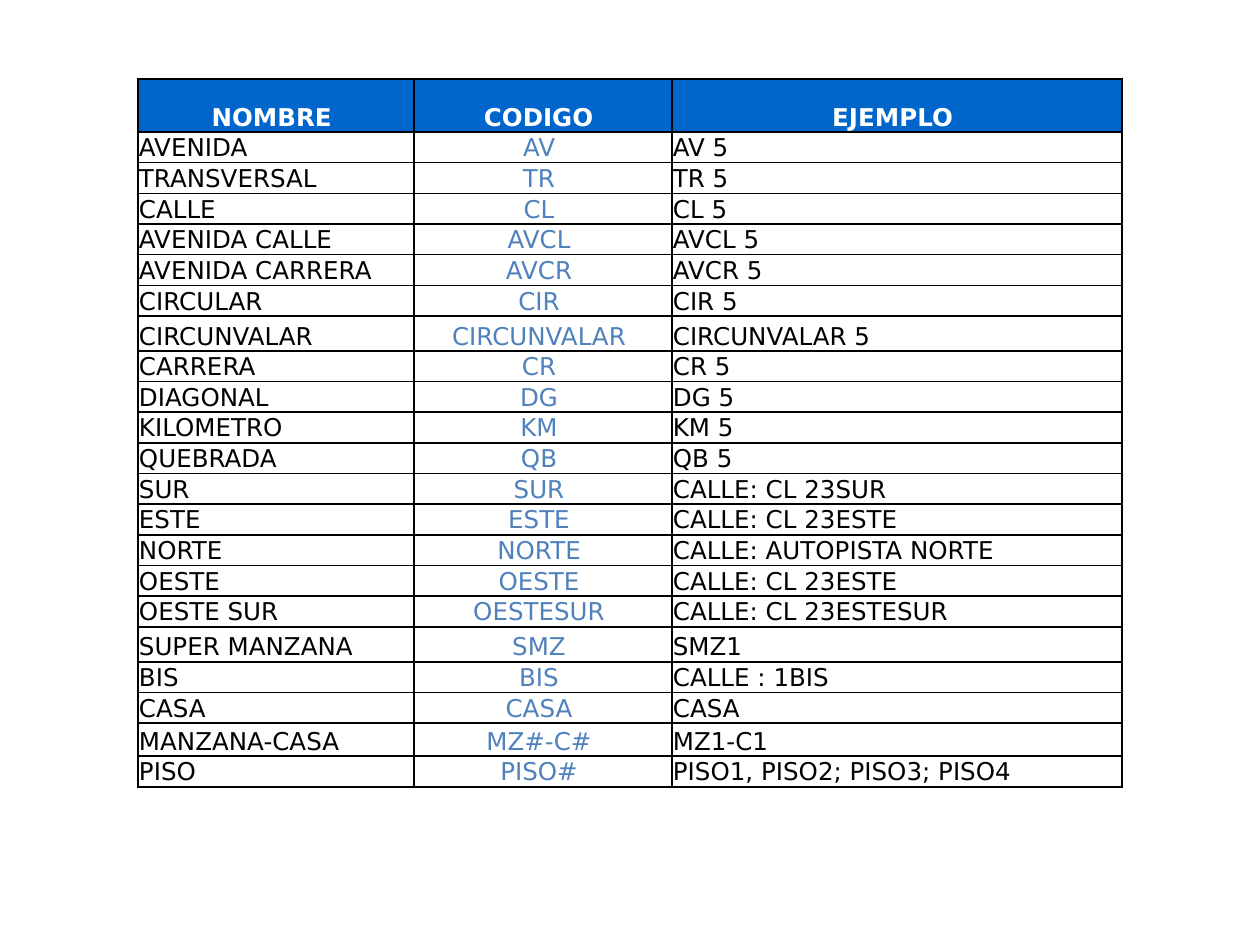
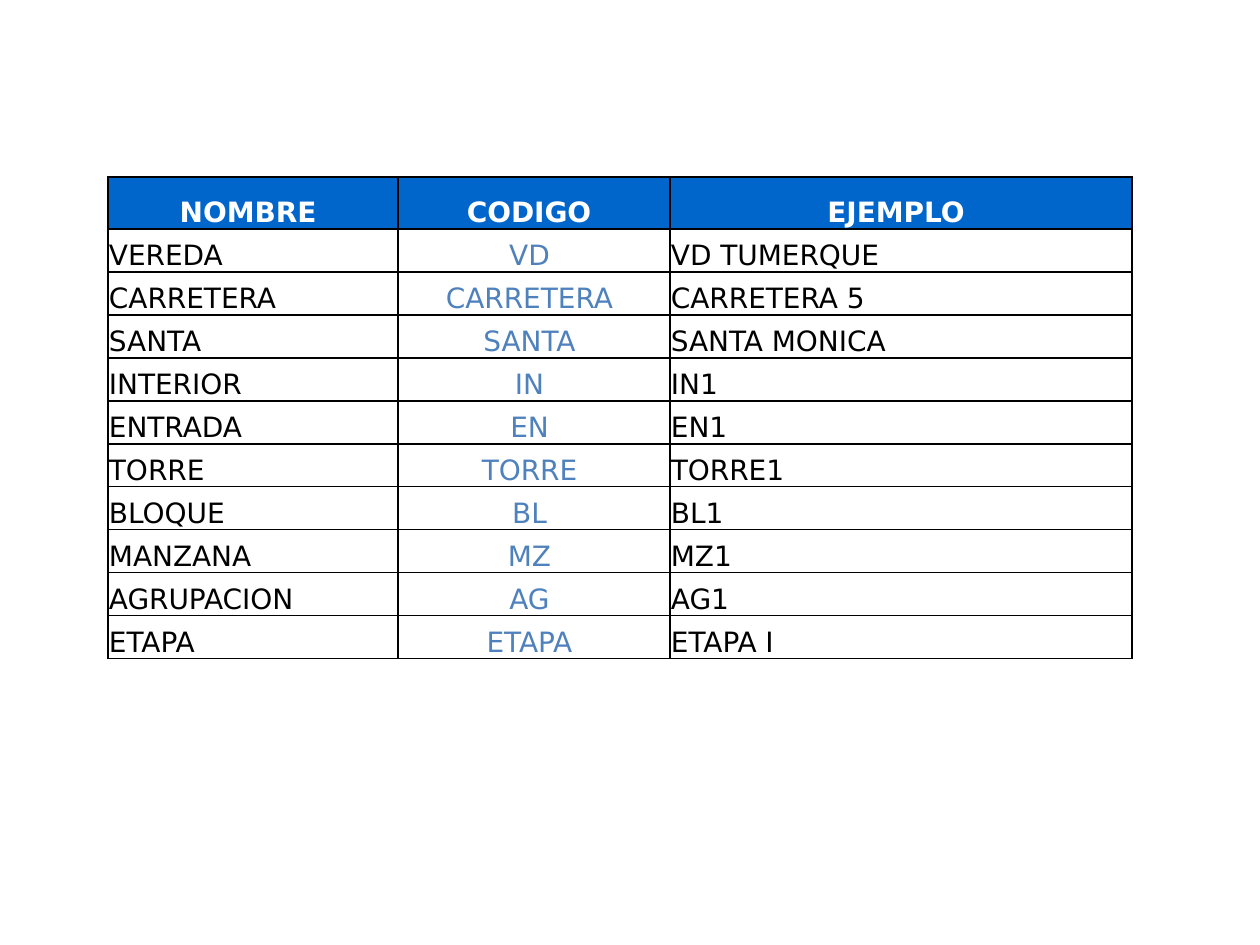
from lxml.etree import SubElement
from pptx import Presentation
from pptx.dml.color import RGBColor
from pptx.enum.text import MSO_ANCHOR as ANCHOR, PP_ALIGN as ALIGN
from pptx.oxml.ns import qn
from pptx.util import Emu, Pt

PX = 914400 // 126
COLORS = {"header": "0066CC", "header_text": "FFFFFF", "text": "000000",
          "code": "4F81BD", "border": "000000"}
FONT = "DejaVu Sans"
HEADINGS = ("NOMBRE", "CODIGO", "EJEMPLO")
CODE_COL = HEADINGS.index("CODIGO")
CELL_FORMAT = {"vertical_anchor": ANCHOR.BOTTOM, "margin_left": Emu(PX),
               "margin_right": Emu(PX), "margin_top": Emu(PX), "margin_bottom": 0}

STREET_CODES = [
    ("AVENIDA", "AV", "AV 5"),
    ("TRANSVERSAL", "TR", "TR 5"),
    ("CALLE", "CL", "CL 5"),
    ("AVENIDA CALLE", "AVCL", "AVCL 5"),
    ("AVENIDA CARRERA", "AVCR", "AVCR 5"),
    ("CIRCULAR", "CIR", "CIR 5"),
    ("CIRCUNVALAR", "CIRCUNVALAR", "CIRCUNVALAR 5"),
    ("CARRERA", "CR", "CR 5"),
    ("DIAGONAL", "DG", "DG 5"),
    ("KILOMETRO", "KM", "KM 5"),
    ("QUEBRADA", "QB", "QB 5"),
    ("SUR", "SUR", "CALLE: CL 23SUR"),
    ("ESTE", "ESTE", "CALLE: CL 23ESTE"),
    ("NORTE", "NORTE", "CALLE: AUTOPISTA NORTE"),
    ("OESTE", "OESTE", "CALLE: CL 23ESTE"),
    ("OESTE SUR", "OESTESUR", "CALLE: CL 23ESTESUR"),
    ("SUPER MANZANA", "SMZ", "SMZ1"),
    ("BIS", "BIS", "CALLE : 1BIS"),
    ("CASA", "CASA", "CASA"),
    ("MANZANA-CASA", "MZ#-C#", "MZ1-C1"),
    ("PISO", "PISO#", "PISO1, PISO2; PISO3; PISO4"),
]
TALL_ROWS = {"CIRCUNVALAR": 35, "SUPER MANZANA": 35, "MANZANA-CASA": 33}

PLACE_CODES = [
    ("VEREDA", "VD", "VD TUMERQUE"),
    ("CARRETERA", "CARRETERA", "CARRETERA 5"),
    ("SANTA", "SANTA", "SANTA MONICA"),
    ("INTERIOR", "IN", "IN1"),
    ("ENTRADA", "EN", "EN1"),
    ("TORRE", "TORRE", "TORRE1"),
    ("BLOQUE", "BL", "BL1"),
    ("MANZANA", "MZ", "MZ1"),
    ("AGRUPACION", "AG", "AG1"),
    ("ETAPA", "ETAPA", "ETAPA I"),
]


def px(n):
    return Emu(round(n * PX))


def rgb(name):
    return RGBColor.from_string(COLORS[name])


class Deck:
    def __init__(self):
        self.prs = Presentation()
        self.prs.slide_width, self.prs.slide_height = px(1260), px(945)

    def add_slide(self):
        self.s = self.prs.slides.add_slide(self.prs.slide_layouts[6])

    def add_borders(self, cell):
        tc_pr = cell._tc.get_or_add_tcPr()
        for side in "LRTB":
            ln = SubElement(tc_pr, qn(f"a:ln{side}"), w=str(Pt(1)))
            fill = SubElement(ln, qn("a:solidFill"))
            SubElement(fill, qn("a:srgbClr"), val=COLORS["border"])

    def fill_cell(self, cell, text, size, color, header, centred):
        for name, value in CELL_FORMAT.items():
            setattr(cell, name, value)
        self.add_borders(cell)
        if header:
            cell.fill.solid()
            cell.fill.fore_color.rgb = rgb("header")
        else:
            cell.fill.background()
        p = cell.text_frame.paragraphs[0]
        p.alignment = ALIGN.CENTER if centred else ALIGN.LEFT
        r = p.add_run()
        r.text = f"{text} " if centred else text
        for name, value in {"name": FONT, "size": Pt(size), "bold": header}.items():
            setattr(r.font, name, value)
        r.font.color.rgb = rgb(color)

    def add_code_table(self, rows, left, top, widths, height, header_height, size, tall={}):
        """Rows not named in tall share the remaining height equally."""
        shared = (height - header_height - sum(tall.values())) / (len(rows) - len(tall))
        heights = [header_height] + [tall.get(row[0], shared) for row in rows]
        table = self.s.shapes.add_table(len(heights), len(widths), px(left), px(top),
                                        px(sum(widths)), px(height)).table
        table.horz_banding = False
        for col, width in zip(table.columns, widths):
            col.width = px(width)
        for i, (texts, row_height) in enumerate(zip([HEADINGS] + rows, heights)):
            table.rows[i].height = px(row_height)
            header = i == 0
            for j, text in enumerate(texts):
                is_code = j == CODE_COL
                color = "header_text" if header else "code" if is_code else "text"
                self.fill_cell(table.cell(i, j), text, size, color, header, header or is_code)


def main():
    deck = Deck()
    deck.add_slide()
    deck.add_code_table(STREET_CODES, 138, 79, (276, 258, 450), 708, 53, 14, TALL_ROWS)
    deck.add_slide()
    deck.add_code_table(PLACE_CODES, 108, 177, (290, 272, 462), 482, 52, 16)
    deck.prs.save("out.pptx")


if __name__ == "__main__":
    main()
